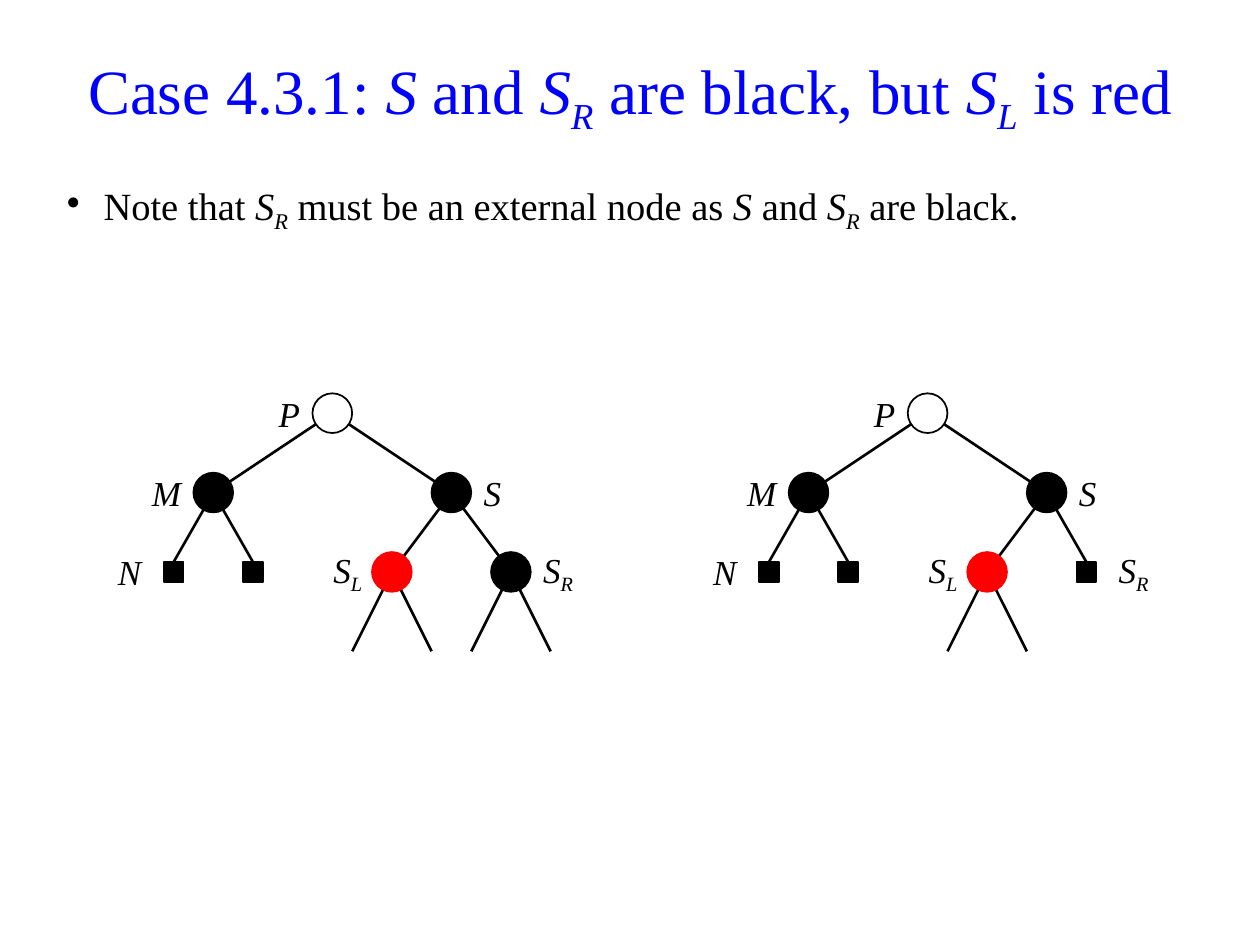
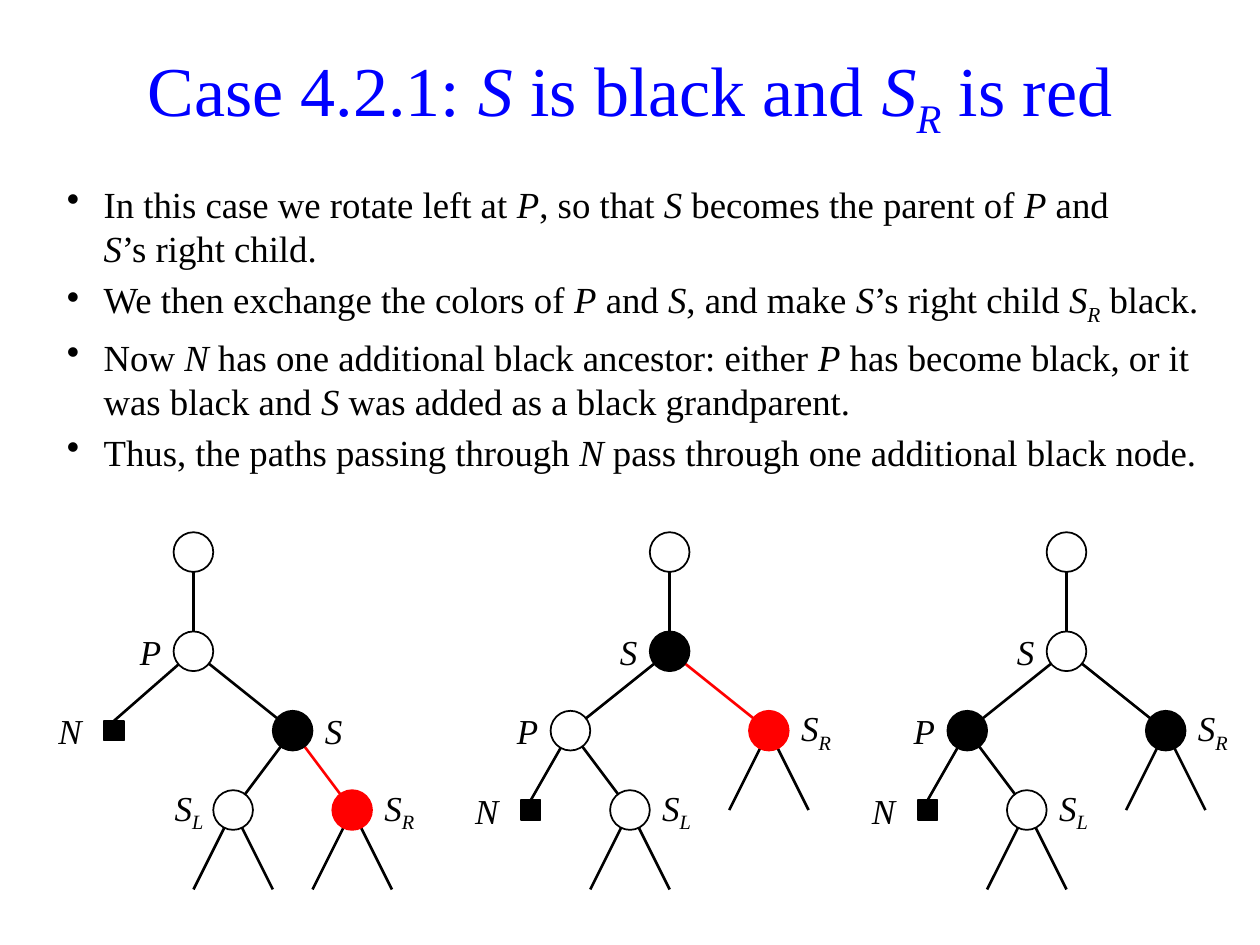
"""Builds two slides on red-black tree deletion cases with their tree diagrams."""
from lxml.etree import SubElement
from pptx import Presentation
from pptx.dml.color import RGBColor
from pptx.enum.shapes import MSO_CONNECTOR, MSO_SHAPE
from pptx.enum.text import MSO_ANCHOR, PP_ALIGN
from pptx.oxml.ns import qn
from pptx.util import Cm, Pt

FONT, BLUE, BLACK, WHITE, RED = "Times New Roman", "0000FF", "000000", "FFFFFF", "FF0000"
KINDS = {
    "open": (MSO_SHAPE.OVAL, 0.8, WHITE, BLACK),
    "black": (MSO_SHAPE.OVAL, 0.8, BLACK, BLACK),
    "red": (MSO_SHAPE.OVAL, 0.8, RED, RED),
    "leaf": (MSO_SHAPE.RECTANGLE, 0.4, BLACK, BLACK),
}
RADIUS, LEVEL, LABEL = 0.4, 1.6, 1.2

# Node: key, parent key, x and y from the root in cm, kind, label, label side
SIBLING = [
    ("P", None, 0, 0, "open", "P", "left"),
    ("M", "P", -2.4, 1.6, "black", "M", "left"),
    ("S", "P", 2.4, 1.6, "black", "S", "right"),
    ("N", "M", -3.2, 3.2, "leaf", "N", "left"),
    ("twin", "M", -1.6, 3.2, "leaf", "", "left"),
    ("SL", "S", 1.2, 3.2, "red", "S_L", "left"),
]
INNER = SIBLING + [("SR", "S", 3.6, 3.2, "black", "S_R", "right")]
OUTER = SIBLING + [("SR", "S", 3.2, 3.2, "leaf", "S_R", "right")]
BEFORE = [
    ("top", None, 0, -2, "open", "", "left"),
    ("P", "top", 0, 0, "open", "P", "left"),
    ("N", "P", -1.6, 1.6, "leaf", "N", "left"),
    ("S", "P", 2, 1.6, "black", "S", "right"),
    ("SL", "S", 0.8, 3.2, "open", "S_L", "left"),
    ("SR", "S", 3.2, 3.2, "red", "S_R", "right"),
]


def turned(s_kind, p_kind, sr_kind):
    return [
        ("top", None, 0, -2, "open", "", "left"),
        ("S", "top", 0, 0, s_kind, "S", "left"),
        ("P", "S", -2, 1.6, p_kind, "P", "left"),
        ("SR", "S", 2, 1.6, sr_kind, "S_R", "right"),
        ("N", "P", -2.8, 3.2, "leaf", "N", "left"),
        ("SL", "P", -0.8, 3.2, "open", "S_L", "right"),
    ]


# Asterisks enclose italics and an underscore starts a subscript.
# Tree: nodes, root x, root y, key of the node whose edge is red
SLIDES = [
    {
        "title": "Case 4.3.1: *S* and *S_R* are black, but *S_L* is red",
        "title_size": 36,
        "body": ["Note that *S_R* must be an external node as *S* and *S_R* are black."],
        "body_size": 22,
        "trees": [(INNER, 6.7, 8.33, None), (OUTER, 18.7, 8.33, None)],
    },
    {
        "title": "Case 4.2.1: *S* is black and *S_R* is red",
        "title_size": 40,
        "body": [
            "In this case we rotate left at *P*, so that *S* becomes the parent of *P* and\v*S*’s right child.",
            "We then exchange the colors of *P* and *S*, and make *S*’s right child *S_R* black.",
            "Now *N* has one additional black ancestor: either *P* has become black, "
            "or it was black and *S* was added as a black grandparent.",
            "Thus, the paths passing through *N* pass through one additional black node.",
        ],
        "body_size": 21,
        "trees": [
            (BEFORE, 3.9, 13.13, "SR"),
            (turned("black", "open", "red"), 13.5, 13.13, "SR"),
            (turned("open", "black", "black"), 21.5, 13.13, None),
        ],
    },
]


def tint(code):
    return RGBColor.from_string(code)


def add_run(para, text, size, color, slant, base=0):
    for num, piece in enumerate(text.split("\v")):
        if num:
            para.add_line_break()
        if not piece:
            continue
        run = para.add_run()
        run.text = piece
        for name, value in {"name": FONT, "size": Pt(size), "italic": slant}.items():
            setattr(run.font, name, value)
        run.font.color.rgb = tint(color)
        if base:
            run._r.get_or_add_rPr().set("baseline", str(base))


def add_rich(para, text, size, color):
    for num, part in enumerate(text.split("*")):
        slant = num % 2 == 1
        main, _, sub = part.partition("_")
        add_run(para, main, size, color, slant)
        add_run(para, sub, size, color, slant, -25000)


def add_text(slide, box, lines, size, color=BLACK, align=PP_ALIGN.LEFT,
             anchor=MSO_ANCHOR.MIDDLE, bullet=False, right=0.25):
    frame = slide.shapes.add_textbox(*map(Cm, box)).text_frame
    form = {"word_wrap": True, "vertical_anchor": anchor, "margin_left": Cm(0.25),
            "margin_right": Cm(right), "margin_top": Cm(0.13), "margin_bottom": Cm(0.13)}
    for name, value in form.items():
        setattr(frame, name, value)
    for num, line in enumerate(lines):
        para = frame.add_paragraph() if num else frame.paragraphs[0]
        para.alignment = align
        if bullet:
            props = para._p.get_or_add_pPr()
            props.set("marL", str(Cm(0.74)))
            props.set("indent", str(-Cm(0.74)))
            SubElement(props, qn("a:buChar")).set("char", "•")
            if num:
                para.space_before = Pt(size * 0.2)
        add_rich(para, line, size, color)


def add_edge(slide, start, end, color=BLACK):
    edge = slide.shapes.add_connector(MSO_CONNECTOR.STRAIGHT, *map(Cm, start + end))
    edge.line.color.rgb = tint(color)
    edge.line.width = Pt(1.5)
    SubElement(edge._element.spPr, qn("a:effectLst"))
    return edge


def add_node(slide, spot, kind):
    form, side, fill, line = KINDS[kind]
    box = (spot[0] - side / 2, spot[1] - side / 2, side, side)
    node = slide.shapes.add_shape(form, *map(Cm, box))
    node.shadow.inherit = False
    node.fill.solid()
    node.fill.fore_color.rgb = tint(fill)
    node.line.color.rgb = tint(line)
    node.line.width = Pt(1)
    return node


def add_label(slide, spot, text, side):
    left = spot[0] + RADIUS if side == "right" else spot[0] - RADIUS - LABEL
    align = PP_ALIGN.LEFT if side == "right" else PP_ALIGN.RIGHT
    add_text(slide, (left, spot[1] - LEVEL / 2, LABEL, LEVEL), [f"*{text}*"], 20,
             align=align, right=0.2 if text == "S_L" else 0.25)


def draw_tree(slide, nodes, left, top, hot):
    spots = {key: (left + x, top + y) for key, _, x, y, *_ in nodes}
    for key, parent, x, y, kind, label, side in nodes:
        spot = spots[key]
        if parent:
            above = spots[parent]
            end = (spot[0], spot[1] - RADIUS) if above[0] == spot[0] else spot
            edge = add_edge(slide, above, end, RED if key == hot else BLACK)
            if kind == "leaf":
                edge.end_connect(add_node(slide, spot, kind), 0)
        if "_" in label and kind != "leaf":
            for shift in (-LEVEL / 2, LEVEL / 2):
                add_edge(slide, spot, (spot[0] + shift, spot[1] + LEVEL))
    for key, parent, x, y, kind, label, side in nodes:
        if kind != "leaf":
            add_node(slide, spots[key], kind)
        if label:
            add_label(slide, spots[key], label, side)


def main():
    deck = Presentation()
    deck.slide_width, deck.slide_height = Cm(25.4), Cm(19.05)
    for page in SLIDES:
        slide = deck.slides.add_slide(deck.slide_layouts[6])
        add_text(slide, (1.1, 0.7, 23.2, 2.4), [page["title"]], page["title_size"],
                 BLUE, PP_ALIGN.CENTER)
        add_text(slide, (1.1, 3.53, 23.6, 1.2 if len(page["body"]) == 1 else 6.4),
                 page["body"], page["body_size"], anchor=MSO_ANCHOR.TOP, bullet=True)
        for tree in page["trees"]:
            draw_tree(slide, *tree)
    deck.save("out.pptx")


if __name__ == "__main__":
    main()
